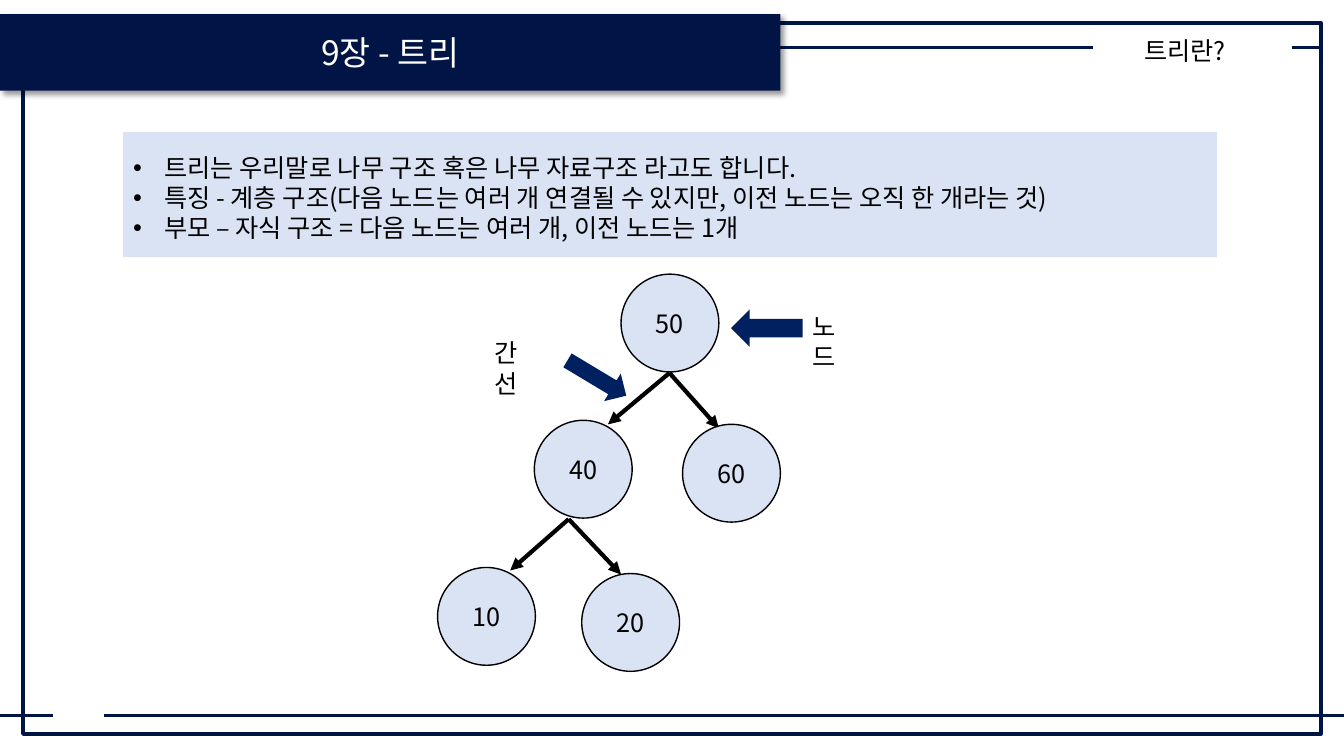
from dataclasses import dataclass

from lxml import etree
from pptx import Presentation
from pptx.dml.color import RGBColor
from pptx.enum.shapes import MSO_CONNECTOR, MSO_SHAPE
from pptx.enum.text import MSO_ANCHOR, MSO_AUTO_SIZE, PP_ALIGN
from pptx.oxml.ns import qn
from pptx.util import Pt

STRAIGHT = MSO_CONNECTOR.STRAIGHT
RECTANGLE, OVAL, DOWN_ARROW = MSO_SHAPE.RECTANGLE, MSO_SHAPE.OVAL, MSO_SHAPE.DOWN_ARROW
TOP, MIDDLE = MSO_ANCHOR.TOP, MSO_ANCHOR.MIDDLE
LEFT, CENTER = PP_ALIGN.LEFT, PP_ALIGN.CENTER
NO_AUTOSIZE = MSO_AUTO_SIZE.NONE
EMU_PER_PX = 9144
TITLE_AND_CONTENT = 1


@dataclass(frozen=True)
class Theme:
    """Colours, font and type sizes of the deck."""

    navy: str = "001545"
    pointer: str = "002060"
    pale: str = "DAE3F3"
    ink: str = "000000"
    white: str = "FFFFFF"
    font: str = "Noto Sans CJK KR"
    title: int = 24
    body: int = 18


THEME = Theme()
FEATURES = (
    "트리는 우리말로 나무 구조 혹은 나무 자료구조 라고도 합니다.",
    "특징 - 계층 구조(다음 노드는 여러 개 연결될 수 있지만, 이전 노드는 오직 한 개라는 것)",
    "부모 – 자식 구조 = 다음 노드는 여러 개, 이전 노드는 1개",
)
NODE_SIZE = 97
NODES = (("50", 182, 0), ("40", 96, 145), ("60", 243, 149), ("10", 0, 291), ("20", 143, 297))
FORKS = (
    ((230, 98), ((169, 149), (279, 153))),
    ((130, 243), ((72, 294), (182, 298))),
)


def px(*lengths):
    """Turn whole pixels into EMU."""
    return [length * EMU_PER_PX for length in lengths]


def paint(target, colour):
    """Give a fill or a font a solid colour."""
    if hasattr(target, "solid"):
        target.solid()
        target.fore_color.rgb = RGBColor.from_string(colour)
    else:
        target.color.rgb = RGBColor.from_string(colour)


def write(paragraph, words, size, colour, align):
    """Add one run in the theme font."""
    paragraph.alignment = align
    run = paragraph.add_run()
    run.text = words
    run.font.size = Pt(size)
    run.font.name = THEME.font
    paint(run.font, colour)
    latin = run.font._element.find(qn("a:latin"))
    east_asian = etree.Element(qn("a:ea"), typeface=THEME.font)
    latin.addnext(east_asian)


def add_block(shapes, preset, box, fill=None, line=None, weight=1):
    """Add a preset shape with the given fill and outline."""
    block = shapes.add_shape(preset, *px(*box))
    block.shadow.inherit = False
    if fill:
        paint(block.fill, fill)
    else:
        block.fill.background()
    if line:
        paint(block.line, line)
        block.line.width = Pt(weight)
    else:
        block.line.fill.background()
    return block


def add_rule(shapes, start, end, colour, weight, arrow=False):
    """Add a straight line, with an optional arrowhead at its end."""
    rule = shapes.add_connector(STRAIGHT, *px(*start, *end))
    paint(rule.line, colour)
    rule.line.width = Pt(weight)
    if arrow:
        etree.SubElement(rule.line._get_or_add_ln(), qn("a:tailEnd"), type="triangle")
    etree.SubElement(rule._element.spPr, qn("a:effectLst"))


def place(placeholder, box, fill):
    """Move a placeholder to the front, into its box, and fill it."""
    placeholder.left, placeholder.top, placeholder.width, placeholder.height = px(*box)
    paint(placeholder.fill, fill)
    placeholder.text_frame.auto_size = NO_AUTOSIZE
    placeholder.text_frame.word_wrap = True
    tree = placeholder.element.getparent()
    tree.append(placeholder.element)


def add_label(shapes, words, box, wrap):
    """Add a short label."""
    label = shapes.add_textbox(*px(*box)).text_frame
    label.word_wrap = wrap
    write(label.paragraphs[0], words, THEME.body, THEME.ink, LEFT)


def draw_frame(slide, box):
    """Draw the page border and the rules that cross it."""
    left, top, width, height = box
    right = left + width
    header, footer = top + 24, top + 687
    add_block(slide.shapes, RECTANGLE, box, line=THEME.navy, weight=3)
    for start, end, level in (
        (0, right - 226, header),
        (right - 29, right, header),
        (0, left + 30, footer),
        (left + 80, right + 23, footer),
    ):
        add_rule(slide.shapes, (start, level), (end, level), THEME.navy, 2)


def draw_banner(slide, box):
    """Set the chapter title on a navy band with a soft shadow."""
    banner = slide.shapes.title
    place(banner, box, THEME.navy)
    banner.text_frame.vertical_anchor = MIDDLE
    write(banner.text_frame.paragraphs[0], "9장 - 트리", THEME.title, THEME.white, CENTER)
    effects = etree.SubElement(banner.element.spPr, qn("a:effectLst"))
    shadow = etree.SubElement(
        effects, qn("a:outerShdw"), blurRad=str(Pt(4)), dist=str(Pt(3)),
        dir="2700000", algn="tl", rotWithShape="0",
    )
    black = etree.SubElement(shadow, qn("a:srgbClr"), val=THEME.ink)
    etree.SubElement(black, qn("a:alpha"), val="40000")


def draw_features(slide, box):
    """Set the bulleted features on a pale panel."""
    panel = slide.placeholders[1]
    place(panel, box, THEME.pale)
    frame = panel.text_frame
    frame.vertical_anchor = TOP
    frame.margin_left, frame.margin_top, frame.margin_right, frame.margin_bottom = px(10, 20, 10, 5)
    indent = px(31)[0]
    for index, feature in enumerate(FEATURES):
        paragraph = frame.add_paragraph() if index else frame.paragraphs[0]
        paragraph.space_before = Pt(0)
        properties = paragraph._p.get_or_add_pPr()
        properties.set("marL", str(indent))
        properties.set("indent", str(-indent))
        etree.SubElement(properties, qn("a:buFont"), typeface="Arial")
        etree.SubElement(properties, qn("a:buChar"), char="•")
        write(paragraph, feature, THEME.body, THEME.ink, LEFT)


def draw_tree(slide, left, top):
    """Draw the nodes and edges as one group."""
    tree = slide.shapes.add_group_shape().shapes
    for (apex_x, apex_y), tips in FORKS:
        for tip_x, tip_y in tips:
            add_rule(tree, (left + apex_x, top + apex_y), (left + tip_x, top + tip_y),
                     THEME.ink, 3, arrow=True)
    for value, x, y in NODES:
        box = (left + x, top + y, NODE_SIZE, NODE_SIZE)
        node = add_block(tree, OVAL, box, THEME.pale, THEME.ink)
        node.text_frame.vertical_anchor = MIDDLE
        write(node.text_frame.paragraphs[0], value, THEME.body, THEME.ink, CENTER)


def draw_callout(slide, words, label_box, arrow_box, angle):
    """Name a part of the tree and point at it."""
    arrow = add_block(slide.shapes, DOWN_ARROW, arrow_box, THEME.pointer)
    arrow.rotation = angle
    add_label(slide.shapes, words, label_box, wrap=True)


def main():
    """Build the slide and save it."""
    deck = Presentation()
    deck.slide_width, deck.slide_height = px(1333, 750)
    slide = deck.slides.add_slide(deck.slide_layouts[TITLE_AND_CONTENT])
    draw_frame(slide, (23, 23, 1287, 705))
    draw_banner(slide, (0, 14, 774, 76))
    add_label(slide.shapes, "트리란?", (1125, 30, 98, 40), wrap=False)
    draw_features(slide, (122, 131, 1085, 124))
    draw_tree(slide, 434, 272)
    draw_callout(slide, "노드", (796, 304, 63, 40), (742, 290, 37, 71), 90)
    draw_callout(slide, "간선", (481, 330, 64, 40), (576, 341, 32, 68), 301)
    deck.save("out.pptx")


if __name__ == "__main__":
    main()
